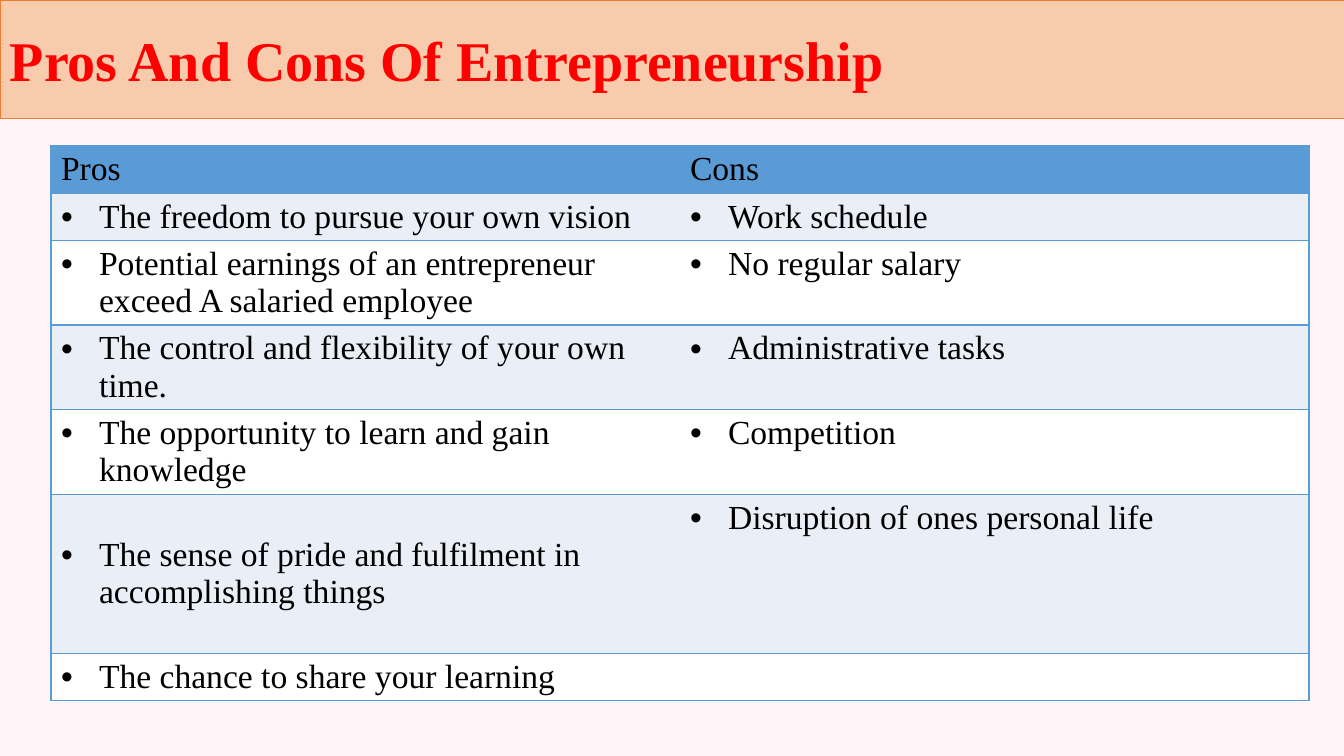
from lxml import etree
from pptx import Presentation
from pptx import util as u
from pptx.dml.color import RGBColor
from pptx.enum import shapes, text
from pptx.oxml.ns import qn

SCALE = 12192000 / 1344
FONT = "Times New Roman"
COLORS = {
    "page": "FFF5F9",
    "banner": "F8CBAD",
    "banner_line": "ED7D31",
    "title": "FF0000",
    "header": "5B9BD5",
    "band": "EAEFF7",
    "plain": "FFFFFF",
    "ink": "000000",
}
ROWS = [
    (47, "Pros", "Cons"),
    (47, "The freedom to pursue your own vision", "Work schedule"),
    (84, "Potential earnings of an entrepreneur exceed A salaried employee", "No regular salary"),
    (84, "The control and flexibility of your own time.", "Administrative tasks"),
    (85, "The opportunity to learn and gain knowledge", "Competition"),
    (159, "The sense of pride and fulfilment in accomplishing things", "Disruption of ones personal life"),
    (47, "The chance to share your learning", ""),
]
PRIDE_ROW = 5


def px(length):
    return u.Emu(round(length * SCALE))


def color(name):
    return RGBColor.from_string(COLORS[name])


def paint(fill, name):
    fill.solid()
    fill.fore_color.rgb = color(name)


def add_bullet(para, indent=38):
    props = para._p.get_or_add_pPr()
    props.set("marL", str(px(indent)))
    props.set("indent", str(-px(indent)))
    etree.SubElement(props, qn("a:buFont")).set("typeface", "Arial")
    etree.SubElement(props, qn("a:buChar")).set("char", "•")


def write(frame, words, size=24, ink="ink", bold=False, align=None, bullet=False):
    para = frame.paragraphs[0]
    if bullet:
        add_bullet(para)
    if align is not None:
        para.alignment = align
    span = para.add_run()
    span.text = words
    span.font.name = FONT
    span.font.size = u.Pt(size)
    span.font.bold = bold
    span.font.color.rgb = color(ink)


def set_borders(cell, sides):
    """Rule the named sides (L, R, T, B) and clear the others."""
    props = cell._tc.get_or_add_tcPr()
    for side in "LRTB":
        line = etree.SubElement(props, qn(f"a:ln{side}"), w=str(u.Pt(1)))
        if side in sides:
            fill = etree.SubElement(line, qn("a:solidFill"))
            etree.SubElement(fill, qn("a:srgbClr"), val=COLORS["header"])
        else:
            etree.SubElement(line, qn("a:noFill"))


def add_banner(page, words):
    banner = page.shapes.add_shape(shapes.MSO_SHAPE.RECTANGLE, 0, 0, px(1344), px(118))
    banner.shadow.inherit = False
    paint(banner.fill, "banner")
    banner.line.color.rgb = color("banner_line")
    banner.line.width = u.Pt(0.5)
    banner.text_frame.word_wrap = True
    banner.text_frame.vertical_anchor = text.MSO_ANCHOR.MIDDLE
    write(banner.text_frame, words, size=40, ink="title", bold=True,
          align=text.PP_ALIGN.JUSTIFY)


def add_comparison(page):
    height = sum(row[0] for row in ROWS)
    table = page.shapes.add_table(len(ROWS), 2, px(51), px(146), px(1258), px(height)).table
    table.first_row = table.horz_banding = False
    for index, (row_height, *entries) in enumerate(ROWS):
        table.rows[index].height = px(row_height)
        band = "header" if index == 0 else "band" if index % 2 else "plain"
        for column, words in enumerate(entries):
            cell = table.cell(index, column)
            set_borders(cell, "RTB" if column else "LTB")
            paint(cell.fill, band)
            if words:
                write(cell.text_frame, words, bullet=index > 0)
    table.cell(PRIDE_ROW, 0).vertical_anchor = text.MSO_ANCHOR.MIDDLE


def main():
    deck = Presentation()
    deck.slide_width, deck.slide_height = px(1344), px(756)
    page = deck.slides.add_slide(deck.slide_layouts[6])
    paint(page.background.fill, "page")
    add_comparison(page)
    add_banner(page, "Pros And Cons Of Entrepreneurship")
    deck.save("out.pptx")


if __name__ == "__main__":
    main()
